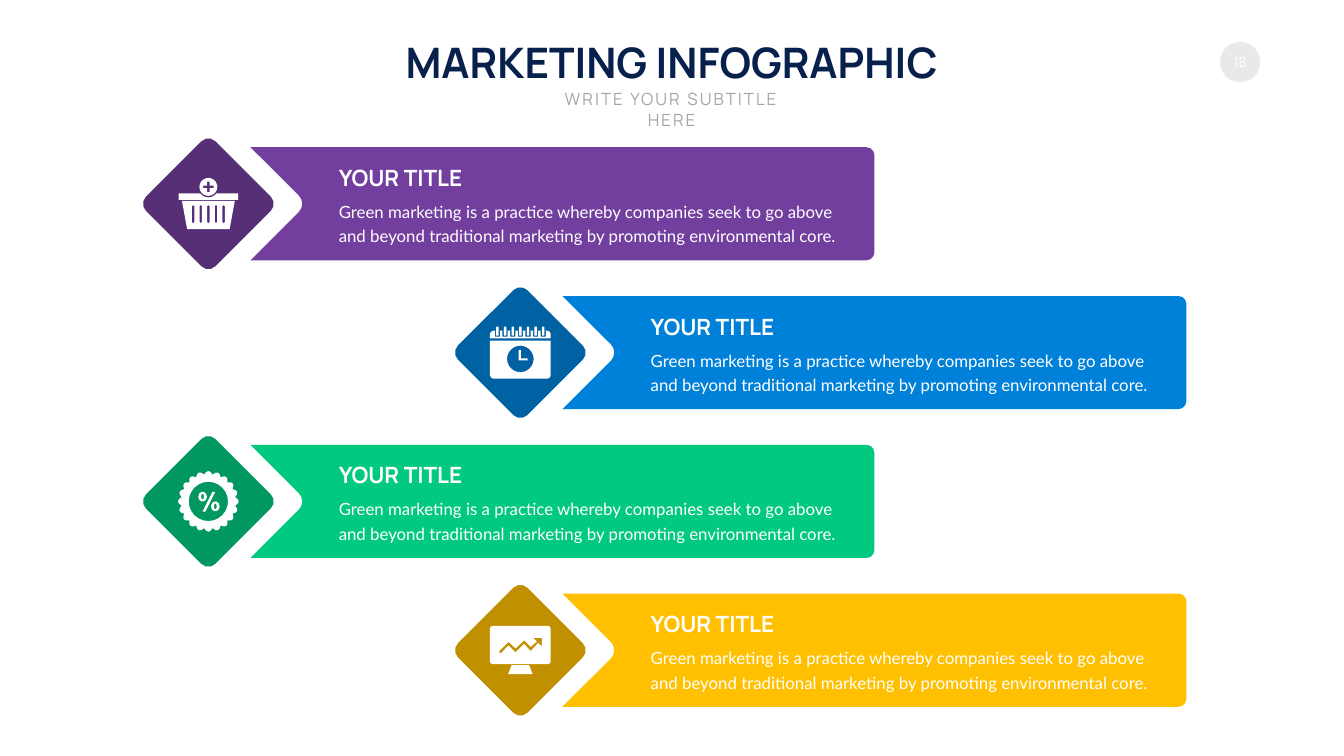
from math import cos, pi, radians, sin

from pptx import Presentation
from pptx.dml.color import RGBColor
from pptx.enum.shapes import MSO_SHAPE
from pptx.enum.text import MSO_ANCHOR, MSO_AUTO_SIZE, PP_ALIGN
from pptx.util import Cm, Pt

COLORS = {
    "white": "FFFFFF", "navy": "08204C", "subtitle": "A6A6A6", "number": "E9E9E9",
    "purple": "723F9F", "dark purple": "562F77",
    "blue": "0081D9", "dark blue": "0061A3",
    "green": "02C980", "dark green": "019760",
    "yellow": "FFC001", "dark yellow": "C09000",
}
BODY = ("Green marketing is a practice whereby companies seek to go above "
        "and beyond traditional marketing by promoting environmental core.")
BANNER_WIDTH, BANNER_HEIGHT, BANNER_PITCH = 31.44, 5.7, 7.5
FIRST_LEFT, FIRST_TOP = 12.62, 7.42


def paint(shape, color):
    shape.shadow.inherit = False
    shape.fill.solid()
    shape.fill.fore_color.rgb = RGBColor.from_string(COLORS[color])
    shape.line.fill.background()


def arc(x, y, radius, start, end, radius_y=None, steps=3):
    """Points from one angle to another, clockwise from the right, in degrees."""
    if radius == 0:
        return [(x, y)]
    angles = [radians(start + (end - start) * i / steps) for i in range(steps + 1)]
    return [(x + radius * cos(a), y + (radius_y or radius) * sin(a)) for a in angles]


def circle(x, y, radius, radius_y=None):
    steps = 24 if radius > 0.3 else 10
    return arc(x, y, radius, 0, 360, radius_y, steps)[:-1]


def rectangle(left, top, right, bottom, top_radius=0, bottom_radius=0, steps=2):
    t, b = top_radius, bottom_radius
    return (arc(left + t, top + t, t, 180, 270, steps=steps)
            + arc(right - t, top + t, t, 270, 360, steps=steps)
            + arc(right - b, bottom - b, b, 0, 90, steps=steps)
            + arc(left + b, bottom - b, b, 90, 180, steps=steps))


def add_outline(page, x, y, contours, color):
    """Draw the contours as one shape; a contour inside another is a hole."""
    builder = None
    for contour in contours:
        points = [(Cm(x + dx), Cm(y + dy)) for dx, dy in contour]
        if builder is None:
            builder = page.shapes.build_freeform(*points[0])
        else:
            builder.move_to(*points[0])
        builder.add_line_segments(points[1:], close=True)
    paint(builder.convert_to_shape(), color)


def basket_icon():
    rim = [(-1.5, -0.52), *arc(0, -0.85, 0.53, 141.5, 38.5, steps=6),
           (1.5, -0.52), (1.5, -0.19), (-1.5, -0.19)]
    body = [(-1.33, -0.14), (1.33, -0.14), (1.07, 1.28), (-1.07, 1.28)]
    slats = [rectangle(x - 0.06, 0.06, x + 0.06, 0.98, 0.06, 0.06, steps=1)
             for x in (0.385 * i for i in range(-2, 3))]
    arm, half = 0.26, 0.065
    plus = [(-half, -arm), (half, -arm), (half, -half), (arm, -half), (arm, half),
            (half, half), (half, arm), (-half, arm), (-half, half), (-arm, half),
            (-arm, -half), (-half, -half)]
    plus = [(x, y - 0.85) for x, y in plus]
    return [rim, body, *slats, circle(0, -0.85, 0.45), plus]


def calendar_icon():
    hands = [(-0.09, -0.14), (0.02, -0.14), (0.02, 0.29),
             (0.37, 0.29), (0.37, 0.39), (-0.09, 0.39)]
    contours = [rectangle(-1.53, -0.6, 1.53, 1.31, 0, 0.17), circle(0, 0.32, 0.67),
                hands, rectangle(-1.53, -1.1, 1.53, -0.72, 0.17, 0)]
    for x in (0.385 * i for i in range(-3, 4)):
        contours.append(rectangle(x - 0.13, -1.1, x + 0.13, -0.8))
        contours.append(rectangle(x - 0.06, -1.31, x + 0.06, -0.85))
    return contours


def discount_icon():
    lobes, steps = 20, 4
    seal = []
    for i in range(lobes * steps):
        angle = 2 * pi * i / (lobes * steps)
        radius = 1.36 + 0.17 * abs(cos(lobes / 2 * angle))
        seal.append((radius * cos(angle), radius * sin(angle)))
    slash = [(0.2, -0.48), (0.35, -0.48), (-0.15, 0.51), (-0.29, 0.51)]
    rings = [circle(x, y, width, height) for x, y in ((-0.29, -0.24), (0.35, 0.25))
             for width, height in ((0.22, 0.25), (0.07, 0.15))]
    return [seal, circle(0, 0, 0.99), slash, *rings]


def monitor_icon():
    stand = [(-0.44, 0.75), (0.44, 0.75), (0.62, 1.21), (-0.62, 1.21)]
    trend = [(0.65, -0.62), (0.83, -0.44), (0.52, -0.17), (0.19, -0.5), (-0.24, -0.09),
             (-0.6, -0.42), (-1.08, 0.06), (-1, 0.17), (-0.6, -0.24), (-0.24, 0.11),
             (0.19, -0.32), (0.52, 0.04), (0.9, -0.37), (1.08, -0.19), (1.08, -0.62)]
    return [rectangle(-1.53, -1.23, 1.53, 0.7, 0.13, 0.13), trend, stand]


def write(frame, text, size, color, font="Manrope", bold=False, align=PP_ALIGN.LEFT):
    para = frame.paragraphs[0]
    para.text = text
    para.alignment = align
    para.font.name = font
    para.font.size = Pt(size)
    para.font.bold = bold
    para.font.color.rgb = RGBColor.from_string(COLORS[color])
    return para


def add_text(page, box, text, size, color, wrap=True, anchor=MSO_ANCHOR.TOP, **style):
    frame = page.shapes.add_textbox(*map(Cm, box)).text_frame
    frame.word_wrap = wrap
    frame.auto_size = MSO_AUTO_SIZE.SHAPE_TO_FIT_TEXT
    frame.vertical_anchor = anchor
    return write(frame, text, size, color, **style)


def add_header(page, left, top, width):
    add_text(page, (left, top, width, 2.82), "MARKETING INFOGRAPHIC", 60, "navy",
             wrap=False, bold=True, align=PP_ALIGN.CENTER)
    subtitle_width = 13.79
    para = add_text(page, (left + (width - subtitle_width) / 2, top + 2.67, subtitle_width, 1.27),
                    "WRITE YOUR SUBTITLE HERE", 24, "subtitle", align=PP_ALIGN.CENTER)
    para.runs[0].font._element.set("spc", "300")


def add_page_number(page, left, top, size):
    badge = page.shapes.add_shape(MSO_SHAPE.OVAL, Cm(left), Cm(top), Cm(size), Cm(size))
    paint(badge, "number")
    frame = badge.text_frame
    frame.margin_left = frame.margin_right = 0
    frame.word_wrap = False
    frame.vertical_anchor = MSO_ANCHOR.MIDDLE
    write(frame, "18", 20, "white", align=PP_ALIGN.CENTER)


def add_banner(page, left, top, color, icon):
    width, height, corner = BANNER_WIDTH, BANNER_HEIGHT, 0.4
    middle = height / 2
    outline = [(0, 0), *arc(width - corner, corner, corner, 270, 360),
               *arc(width - corner, height - corner, corner, 0, 90),
               (0, height), *arc(2.02, middle, 0.59, 45, -45, steps=4)]
    add_outline(page, left, top, [outline], color)

    icon_x, icon_y, side = left - 2.12, top + middle, 4.95
    diamond = page.shapes.add_shape(MSO_SHAPE.ROUNDED_RECTANGLE, Cm(icon_x - side / 2),
                                    Cm(icon_y - side / 2), Cm(side), Cm(side))
    diamond.adjustments[0] = 0.1
    diamond.rotation = 315
    paint(diamond, f"dark {color}")
    add_outline(page, icon_x, icon_y, icon(), "white")

    text_left = left + 4.2
    para = add_text(page, (text_left, top + 2.39, 25.76, 2.62), BODY, 24, "white", font="Lato")
    para.line_spacing = Pt(35)
    para.space_before = Pt(5)
    add_text(page, (text_left, top + 0.7, 6.81, 1.63), "YOUR TITLE", 32, "white",
             wrap=False, anchor=MSO_ANCHOR.MIDDLE, bold=True)


def main():
    deck = Presentation()
    deck.slide_width, deck.slide_height = Cm(67.72), Cm(38.1)
    page = deck.slides.add_slide(deck.slide_layouts[6])
    add_page_number(page, 61.47, 2.11, 2.03)
    banners = [("purple", basket_icon), ("blue", calendar_icon),
               ("green", discount_icon), ("yellow", monitor_icon)]
    for row, (color, icon) in enumerate(banners):
        add_banner(page, FIRST_LEFT + row % 2 * BANNER_WIDTH / 2,
                   FIRST_TOP + row * BANNER_PITCH, color, icon)
    add_header(page, 19.58, 1.7, 28.52)
    deck.save("out.pptx")


if __name__ == "__main__":
    main()
